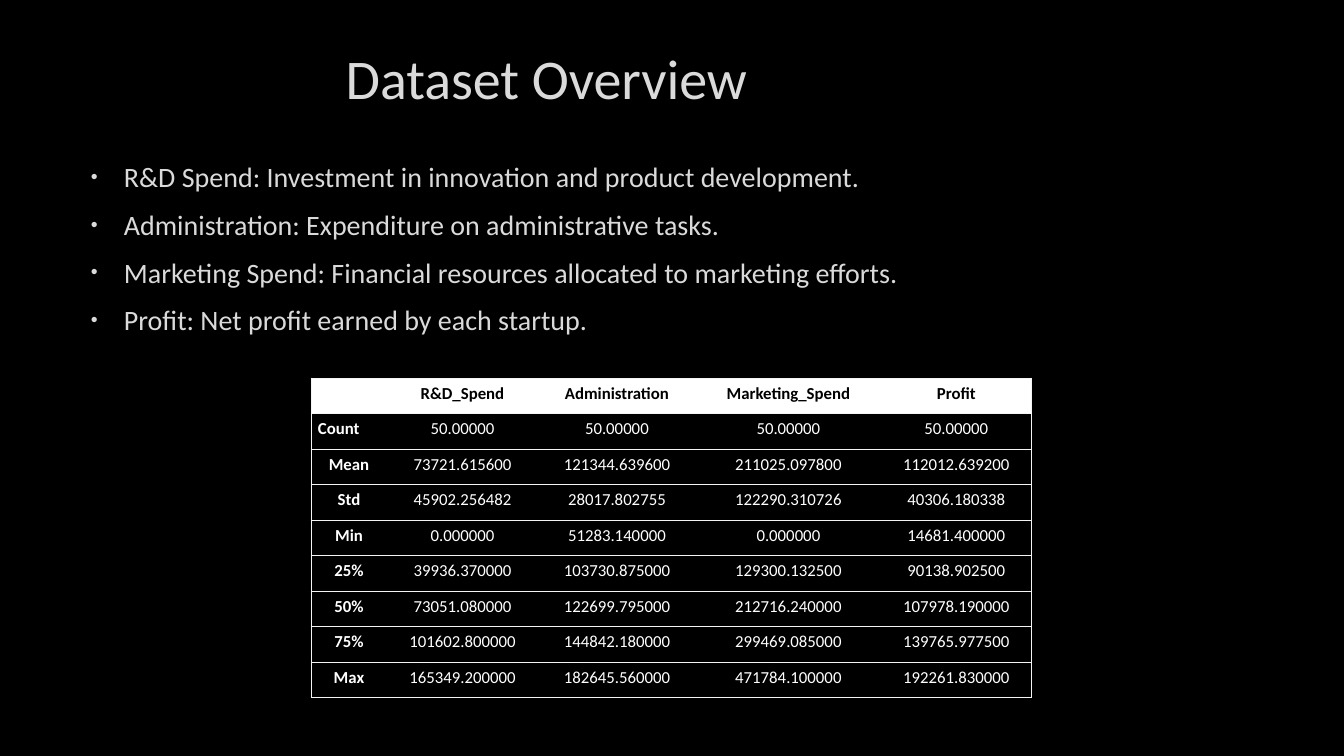
from lxml.etree import SubElement
from pptx import Presentation
from pptx.dml.color import RGBColor
from pptx.enum.text import MSO_ANCHOR as Anchor, PP_ALIGN as Align
from pptx.oxml import parse_xml
from pptx.oxml.ns import nsdecls, qn
from pptx.util import Pt

# Content
TITLE = "Dataset Overview"
BULLETS = [
    "R&D Spend: Investment in innovation and product development.",
    "Administration: Expenditure on administrative tasks.",
    "Marketing Spend: Financial resources allocated to marketing efforts.",
    "Profit: Net profit earned by each startup.",
]
STATISTICS = [
    ("", "R&D_Spend", "Administration", "Marketing_Spend", "Profit"),
    ("Count", "50.00000", "50.00000", "50.00000", "50.00000"),
    ("Mean", "73721.615600", "121344.639600", "211025.097800", "112012.639200"),
    ("Std", "45902.256482", "28017.802755", "122290.310726", "40306.180338"),
    ("Min", "0.000000", "51283.140000", "0.000000", "14681.400000"),
    ("25%", "39936.370000", "103730.875000", "129300.132500", "90138.902500"),
    ("50%", "73051.080000", "122699.795000", "212716.240000", "107978.190000"),
    ("75%", "101602.800000", "144842.180000", "299469.085000", "139765.977500"),
    ("Max", "165349.200000", "182645.560000", "471784.100000", "192261.830000"),
]
COLUMN_WIDTHS = [76, 151, 158, 185, 151]

# Places in px: left, top, width, height
SLIDE_SIZE = (1344, 756)
TITLE_BOX = (76, 0, 941, 155)
BULLET_BOX = (76, 155, 941, 321)
TABLE_BOX = (311, 378, sum(COLUMN_WIDTHS), 320)

BLACK, WHITE, TEXT, OUTLINE, BORDER = "000000", "FFFFFF", "DADADA", "404040", "F4F4F4"
FONT = "Calibri"
NO_STYLE = "{2D5ABB26-0587-4C30-8999-92F81FD0307C}"


def px(length):
    return round(length * 914400 / 100.8)


def color(hex_value):
    return RGBColor.from_string(hex_value)


def place(shape, box):
    shape.left, shape.top, shape.width, shape.height = map(px, box)


def format_runs(paragraph, size, hex_value, bold=False):
    for run in paragraph.runs:
        run.font.name, run.font.size, run.font.bold = FONT, Pt(size), bold
        run.font.color.rgb = color(hex_value)


def outline_runs(paragraph):
    for run in paragraph.runs:
        run.font._element.insert(0, parse_xml(
            f'<a:ln {nsdecls("a")} w="{Pt(0.75)}"><a:solidFill><a:srgbClr val="{OUTLINE}">'
            '<a:alpha val="10000"/></a:srgbClr></a:solidFill><a:prstDash val="solid"/></a:ln>'))


def add_bullet(paragraph):
    properties = paragraph._p.get_or_add_pPr()
    properties.set("marL", str(px(38)))
    properties.set("indent", str(px(-33)))
    bullet_color = SubElement(properties, qn("a:buClr"))
    SubElement(bullet_color, qn("a:srgbClr"), val=TEXT)
    SubElement(properties, qn("a:buSzPct"), val="70000")
    SubElement(properties, qn("a:buFont"), typeface="Arial")
    SubElement(properties, qn("a:buChar"), char="•")


def add_borders(cell, sides):
    # Borders come before the fill in the cell properties
    properties = cell._tc.get_or_add_tcPr()
    for index, side in enumerate(sides):
        properties.insert(index, parse_xml(
            f'<a:ln{side} {nsdecls("a")} w="{Pt(0.75)}"><a:solidFill>'
            f'<a:srgbClr val="{BORDER}"/></a:solidFill></a:ln{side}>'))


def format_cell(cell, row, column):
    is_header = row == 0
    cell.margin_left = cell.margin_right = px(7)
    cell.margin_top = cell.margin_bottom = 0
    cell.fill.solid()
    cell.fill.fore_color.rgb = color(WHITE if is_header else BLACK)
    sides = ["L"] if column == 0 else []
    if column == len(COLUMN_WIDTHS) - 1:
        sides.append("R")
    add_borders(cell, sides + ["T", "B"])
    if not cell.text:
        return
    paragraph = cell.text_frame.paragraphs[0]
    paragraph.line_spacing = 1.25
    if cell.text == "Count":
        paragraph.alignment, paragraph.space_before = Align.LEFT, Pt(2)
    else:
        paragraph.alignment, paragraph.space_after = Align.CENTER, Pt(8)
    format_runs(paragraph, 12, BLACK if is_header else WHITE, is_header or column == 0)


presentation = Presentation()
presentation.slide_width, presentation.slide_height = map(px, SLIDE_SIZE)
slide = presentation.slides.add_slide(presentation.slide_layouts[5])
slide.background.fill.solid()
slide.background.fill.fore_color.rgb = color(BLACK)

# Title
title = slide.shapes.title
place(title, TITLE_BOX)
title.text_frame.text = TITLE
title.text_frame.vertical_anchor = Anchor.MIDDLE
heading = title.text_frame.paragraphs[0]
heading.alignment = Align.CENTER
format_runs(heading, 40, TEXT)
outline_runs(heading)

# Bullet list
bullet_frame = slide.shapes.add_textbox(*map(px, BULLET_BOX)).text_frame
bullet_frame.word_wrap = True
bullet_frame.text = "\n".join(BULLETS)
for paragraph in bullet_frame.paragraphs:
    paragraph.space_before, paragraph.space_after = Pt(4), Pt(6)
    add_bullet(paragraph)
    format_runs(paragraph, 20, TEXT)
    outline_runs(paragraph)

# Statistics table
frame = slide.shapes.add_table(len(STATISTICS), len(COLUMN_WIDTHS), *map(px, TABLE_BOX))
table = frame.table
table._tbl.tblPr.find(qn("a:tableStyleId")).text = NO_STYLE
table.horz_banding = False
for column, width in zip(table.columns, COLUMN_WIDTHS):
    column.width = px(width)
for row, values in enumerate(STATISTICS):
    for column, value in enumerate(values):
        cell = table.cell(row, column)
        cell.text_frame.text = value
        format_cell(cell, row, column)

presentation.save("out.pptx")
